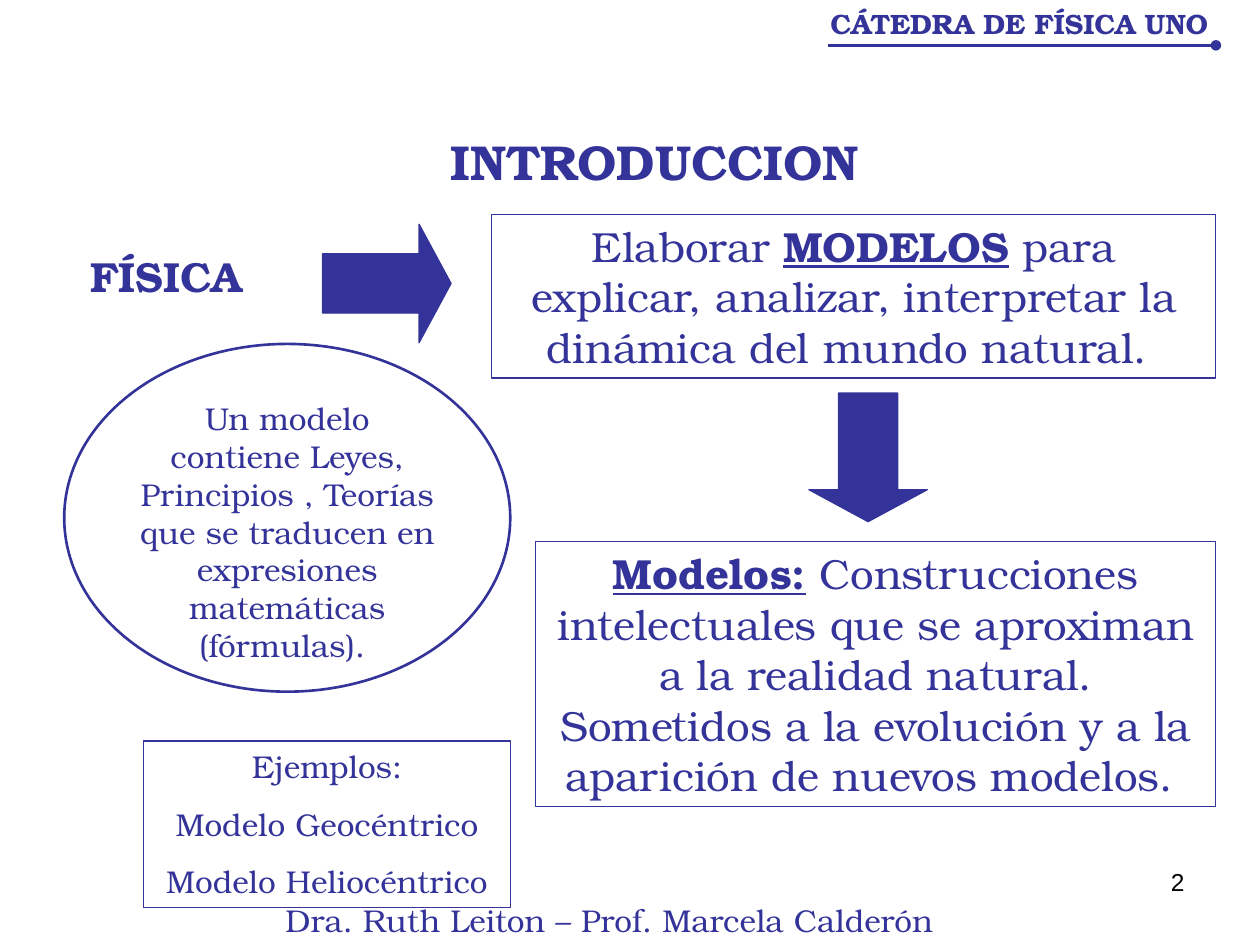
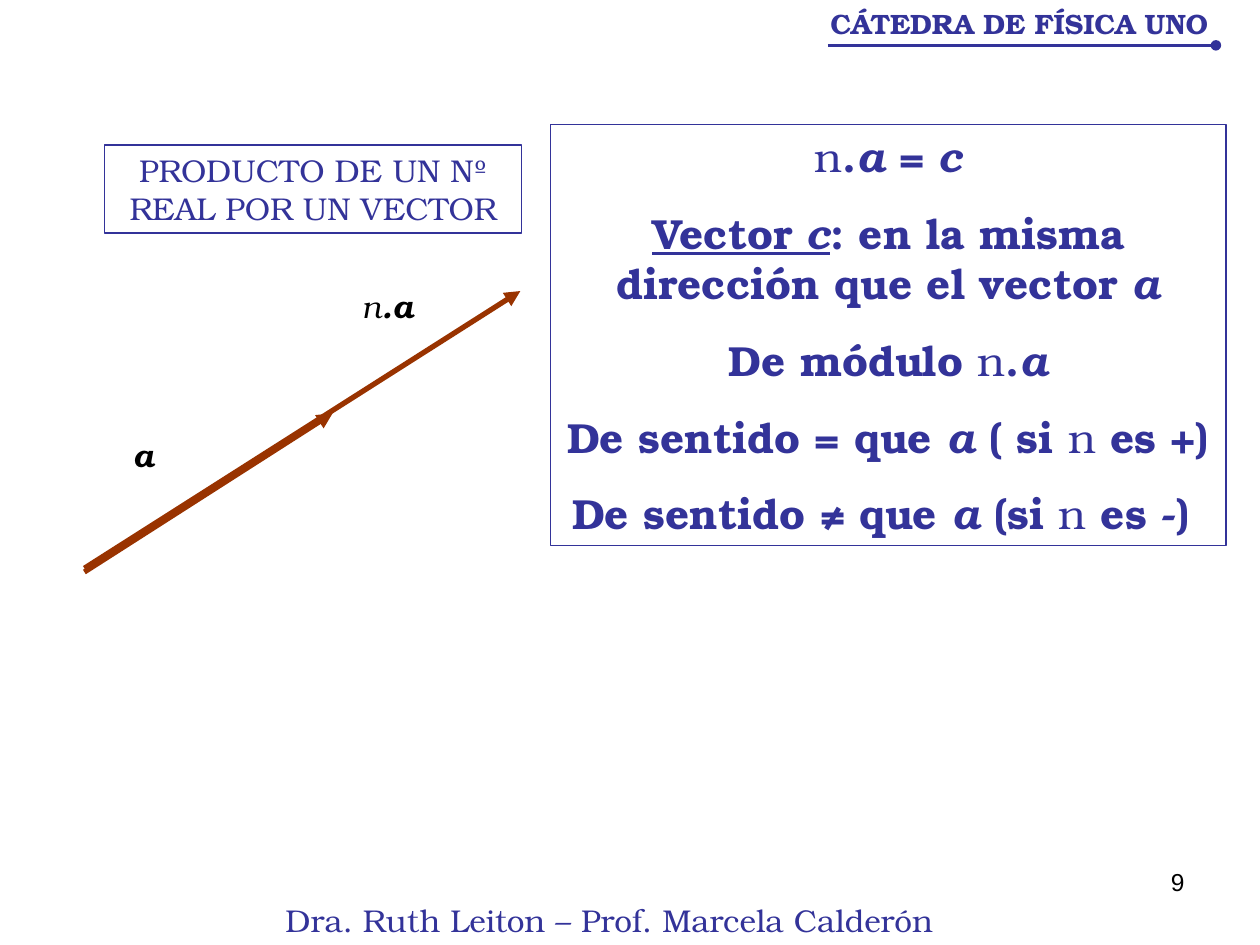
from lxml import etree
from pptx import Presentation
from pptx.dml.color import RGBColor
from pptx.enum import shapes, text
from pptx.oxml.ns import qn
from pptx.util import Inches, Pt

NAVY, RUST, BLACK = "333399", "993300", "000000"
SERIF, SANS = "TeX Gyre Bonum", "Arial"
HEADER = "CÁTEDRA DE FÍSICA UNO"
FOOTER = "Dra. Ruth Leiton – Prof. Marcela Calderón "

# A paragraph is a list of (text, style) runs; style letters: b bold, i italic, u underline.
INTRO = {
    "number": "2",
    "title": dict(at=(2.4, 0.99, 5.59, 0.57), paras=[[("INTRODUCCION", "b")]], size=28),
    "texts": [
        dict(at=(0.43, 1.94, 1.89, 0.5), paras=[[("FÍSICA ", "b")]], size=24),
        dict(at=(3.9, 1.7, 5.75, 1.3), size=24, boxed=True, paras=[
            [("Elaborar ", ""), ("MODELOS", "bu"),
             (" para explicar, analizar, interpretar la dinámica del mundo natural. ", "")]]),
        dict(at=(4.25, 4.3, 5.4, 2.1), size=24, boxed=True, paras=[
            [("Modelos:", "bu"),
             (" Construcciones intelectuales que se aproximan a la realidad natural. "
              "Sometidos a la evolución y a la aparición de nuevos modelos. ", "")]]),
        dict(at=(1.14, 5.88, 2.91, 1.32), boxed=True, paras=[
            [("Ejemplos:", "")], [("Modelo Geocéntrico", "")], [("Modelo Heliocéntrico", "")]]),
        dict(at=(0.98, 3.12, 2.6, 2.2), paras=[
            [("Un modelo contiene Leyes, Principios , Teorías que se traducen en "
              "expresiones matemáticas (fórmulas). ", "")]]),
    ],
    "ellipse": (0.51, 2.73, 3.54, 2.76),
    "block_arrows": [((2.56, 1.78, 1.02, 0.94), 0), ((6.38, 3.16, 1.02, 0.94), 90)],
}
PRODUCT = {
    "number": "9",
    "title": dict(at=(0.83, 1.15, 3.31, 0.7), boxed=True,
                  paras=[[("PRODUCTO DE UN Nº REAL POR UN VECTOR", "")]]),
    "texts": [
        dict(at=(0.9, 3.41, 0.47, 0.4), paras=[[("a", "bi")]], color=BLACK),
        dict(at=(2.72, 2.23, 0.71, 0.4), paras=[[("n", "i"), (".a", "bi")]], color=BLACK),
        dict(at=(4.37, 0.99, 5.36, 3.34), size=24, boxed=True, paras=[
            [("n", ""), (".", "b"), ("a", "bi"), (" = ", "b"), ("c", "bi")],
            [("Vector ", "bu"), ("c", "biu"),
             (": en la misma dirección que el vector ", "b"), ("a", "bi")],
            [("De módulo ", "b"), ("n", ""), (".", "b"), ("a", "bi")],
            [("De sentido = que ", "b"), ("a", "bi"), (" ( si ", "b"), ("n", ""), (" es +)", "b")],
            [("De sentido ≠ que ", "b"), ("a", "bi"), (" (si ", "b"), ("n", ""), (" es -) ", "b")],
        ]),
    ],
    "vectors": [((0.67, 4.54), (2.64, 3.28)), ((0.67, 4.51), (4.13, 2.31))],
}


def rgb(color):
    return RGBColor.from_string(color)


def inches(values):
    return [Inches(v) for v in values]


def outline(sp, width=0.75, color=NAVY):
    sp.line.color.rgb = rgb(color)
    sp.line.width = Pt(width)


def write(sp, paras, size=18, color=NAVY, font=SERIF, align=text.PP_ALIGN.CENTER):
    tf = sp.text_frame
    tf.word_wrap = True
    tf.auto_size = text.MSO_AUTO_SIZE.NONE
    tf.vertical_anchor = text.MSO_ANCHOR.TOP
    for i, runs in enumerate(paras):
        p = tf.add_paragraph() if i else tf.paragraphs[0]
        p.alignment = align
        p.space_before = Pt(size * 0.625 if i else 0)
        for words, style in runs:
            r = p.add_run()
            r.text = words
            r.font.name, r.font.size = font, Pt(size)
            r.font.color.rgb = rgb(color)
            r.font.bold, r.font.italic, r.font.underline = (k in style for k in "biu")


def add_shape(s, kind, at):
    sp = s.shapes.add_shape(kind, *inches(at))
    sp.shadow.inherit = False
    sp.fill.background()
    outline(sp)
    return sp


def add_text(s, at, paras, boxed=False, **style):
    if boxed:
        sp = add_shape(s, shapes.MSO_SHAPE.RECTANGLE, at)
    else:
        sp = s.shapes.add_textbox(*inches(at))
    write(sp, paras, **style)


def add_title(s, at, paras, boxed=False, **style):
    sp = s.shapes.title
    sp.left, sp.top, sp.width, sp.height = inches(at)
    if boxed:
        outline(sp)
    write(sp, paras, **style)


def add_line(s, start, end, color, width, tip):
    line = s.shapes.add_connector(shapes.MSO_CONNECTOR.STRAIGHT, *inches(start + end))
    outline(line, width, color)
    etree.SubElement(line.line._get_or_add_ln(), qn("a:tailEnd"), type=tip)
    etree.SubElement(line._element.spPr, qn("a:effectLst"))


def add_block_arrow(s, at, rotation):
    sp = add_shape(s, shapes.MSO_SHAPE.RIGHT_ARROW, at)
    sp.adjustments[0], sp.adjustments[1] = 0.5, 0.27
    sp.fill.solid()
    sp.fill.fore_color.rgb = rgb(NAVY)
    sp.rotation = rotation


def add_slide(prs, content):
    s = prs.slides.add_slide(prs.slide_layouts[5])
    add_title(s, **content["title"])
    add_text(s, (7.17, 6.83, 2.33, 0.52), [[(content["number"], "")]], size=14,
             color=BLACK, font=SANS, align=text.PP_ALIGN.RIGHT)
    add_text(s, (6.18, 0, 3.82, 0.37), [[(HEADER, "b")]], size=16)
    add_line(s, (6.57, 0.36), (9.65, 0.36), NAVY, 2, "oval")
    add_text(s, (1.53, 7.1, 6.69, 0.4), [[(FOOTER, "")]])
    if "ellipse" in content:
        outline(add_shape(s, shapes.MSO_SHAPE.OVAL, content["ellipse"]), 1.5)
    for at, rotation in content.get("block_arrows", []):
        add_block_arrow(s, at, rotation)
    for start, end in content.get("vectors", []):
        add_line(s, start, end, RUST, 3, "triangle")
    for item in content["texts"]:
        add_text(s, **item)


def main():
    prs = Presentation()
    prs.slide_width, prs.slide_height = Inches(10), Inches(7.5)
    for content in (INTRO, PRODUCT):
        add_slide(prs, content)
    prs.save("out.pptx")


if __name__ == "__main__":
    main()
